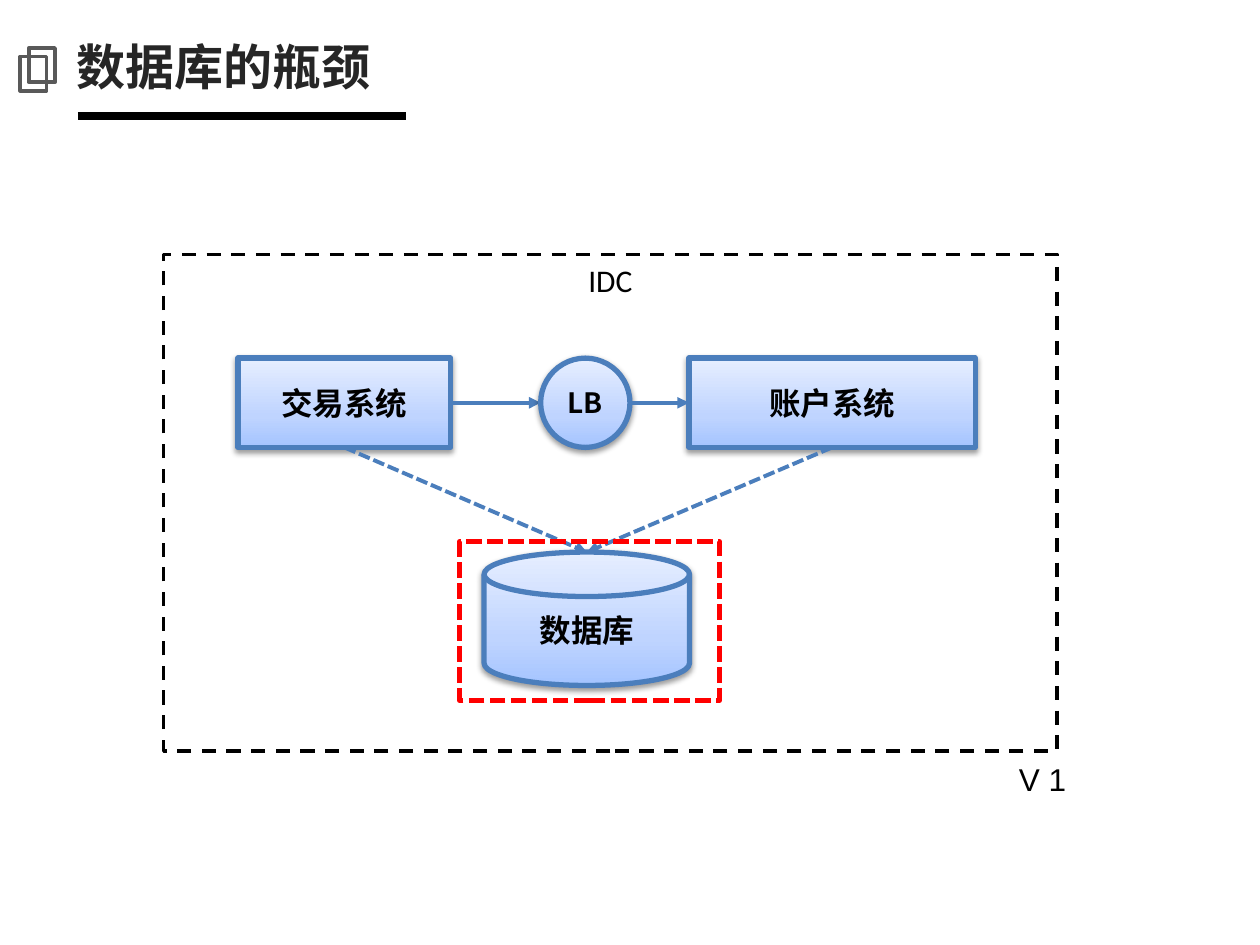
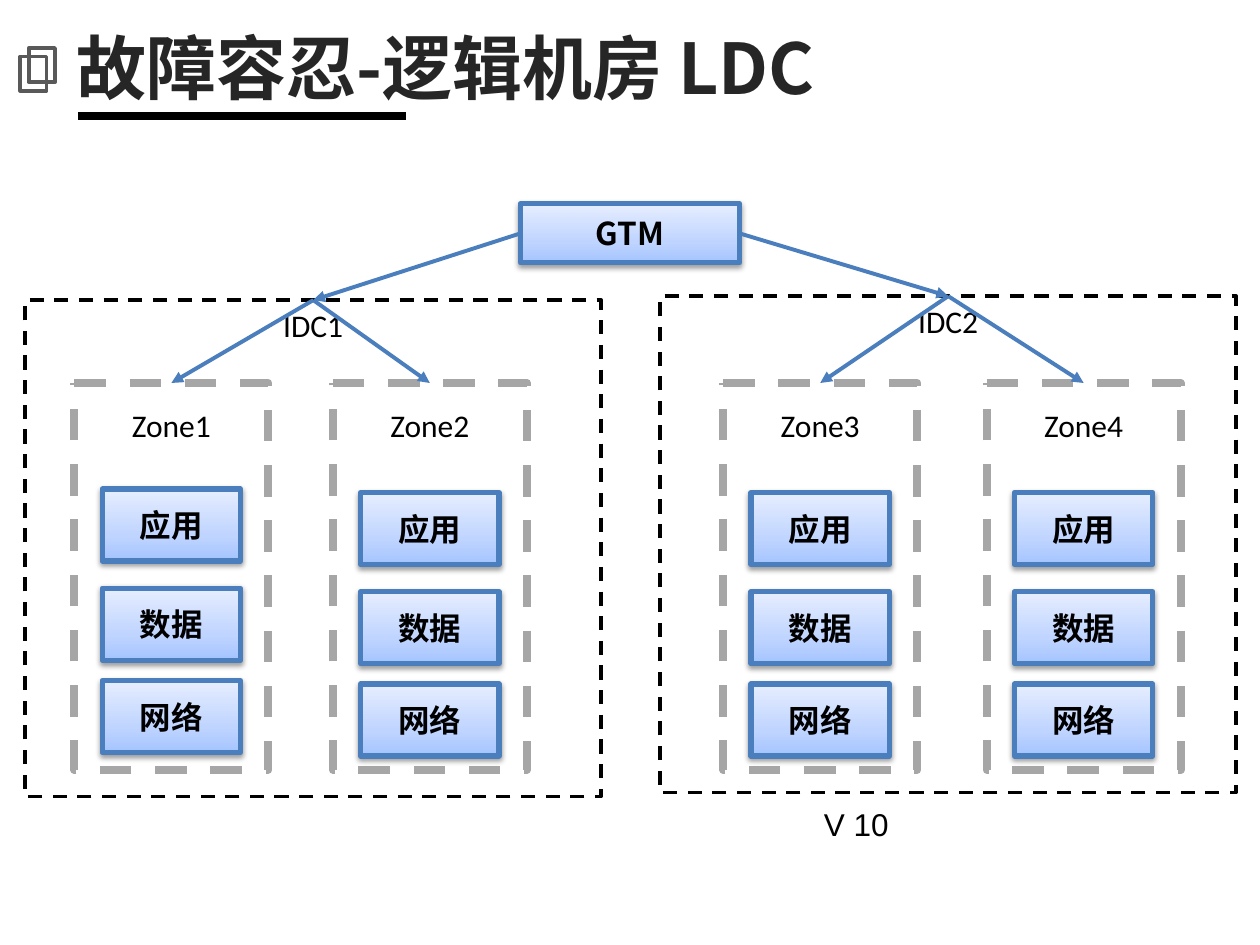
"""Build two architecture slides: the database bottleneck and the logical data centres."""
from dataclasses import dataclass
from typing import Any, NamedTuple, Optional

from lxml.etree import SubElement
from pptx import Presentation
from pptx.dml.color import RGBColor
from pptx.enum.dml import MSO_LINE
from pptx.enum.shapes import MSO_CONNECTOR, MSO_SHAPE as SHAPE
from pptx.enum.text import MSO_ANCHOR as ANCHOR, PP_ALIGN as ALIGN
from pptx.oxml import parse_xml
from pptx.oxml.ns import nsdecls, qn
from pptx.util import Cm, Pt


@dataclass(frozen=True)
class Theme:
    ink: str = "000000"
    title: str = "262626"
    icon: str = "595959"
    accent: str = "4B7EBC"
    zone: str = "A6A6A6"
    alert: str = "FF0000"
    gradient: tuple = ((0, "A4C4FF"), (35, "BFD4FF"), (100, "E6EEFF"))
    heading_font: str = "Noto Sans CJK SC"
    label_font: str = "Calibri"
    version_font: str = "Arial"
    body_size: int = 18
    balancer_size: int = 16


THEME = Theme()


class Point(NamedTuple):
    x: float
    y: float


class Style(NamedTuple):
    color: str
    width: float
    dash: Optional[Any] = None


@dataclass(frozen=True)
class Box:
    x: float
    y: float
    w: float
    h: float
    text: str = ""
    kind: Any = SHAPE.RECTANGLE

    @property
    def top(self) -> Point:
        return Point(self.x + self.w / 2, self.y)

    @property
    def bottom(self) -> Point:
        return Point(self.x + self.w / 2, self.y + self.h)

    @property
    def left(self) -> Point:
        return Point(self.x, self.y + self.h / 2)

    @property
    def right(self) -> Point:
        return Point(self.x + self.w, self.y + self.h / 2)

    @property
    def frame(self) -> list:
        return [Cm(v) for v in (self.x, self.y, self.w, self.h)]


NODE_LINE = Style(THEME.accent, 3)
ICON_LINE = Style(THEME.icon, 2.25)
TITLE_LINE = Style(THEME.ink, 4.5)
ARROW = Style(THEME.accent, 2.25)
DASHED_ARROW = Style(THEME.accent, 2.25, MSO_LINE.SQUARE_DOT)
IDC_LINE = Style(THEME.ink, 2, MSO_LINE.DASH)
ZONE_LINE = Style(THEME.zone, 4.5, MSO_LINE.DASH)
ALERT_LINE = Style(THEME.alert, 3, MSO_LINE.SQUARE_DOT)


def set_all(target: Any, fmt: dict) -> None:
    for name, value in fmt.items():
        setattr(target, name, value)


def set_line(sp: Any, style: Style) -> None:
    sp.line.color.rgb = RGBColor.from_string(style.color)
    sp.line.width = Pt(style.width)
    if style.dash is not None:
        sp.line.dash_style = style.dash


def write(sp: Any, text: str, font: str, size: int = THEME.body_size, bold: bool = False,
          color: str = THEME.ink, align: Any = ALIGN.CENTER, **frame: Any) -> None:
    tf = sp.text_frame
    set_all(tf, {"word_wrap": True, "vertical_anchor": ANCHOR.TOP, **frame})
    p = tf.paragraphs[0]
    p.alignment = align
    r = p.add_run()
    r.text = text
    set_all(r.font, {"name": font, "size": Pt(size), "bold": bold})
    r.font.color.rgb = RGBColor.from_string(color)
    SubElement(r.font._element, qn("a:ea"), typeface=font)


def add_frame(shapes: Any, box: Box, style: Style, **frame: Any) -> None:
    sp = shapes.add_shape(box.kind, *box.frame)
    sp.shadow.inherit = False
    sp.fill.background()
    set_line(sp, style)
    if box.text:
        write(sp, box.text, THEME.label_font, **frame)


def add_node(s: Any, box: Box, size: int = THEME.body_size) -> None:
    sp = s.shapes.add_shape(box.kind, *box.frame)
    set_line(sp, NODE_LINE)
    sp.fill.gradient()
    sp.shadow.inherit = False
    spPr = sp._element.spPr
    stops = "".join(f'<a:gs pos="{pos * 1000}"><a:srgbClr val="{color}"/></a:gs>'
                    for pos, color in THEME.gradient)
    spPr.replace(spPr.find(qn("a:gradFill")), parse_xml(
        f'<a:gradFill {nsdecls("a")} rotWithShape="1"><a:gsLst>{stops}</a:gsLst>'
        '<a:lin ang="16200000" scaled="0"/></a:gradFill>'))
    spPr.find(qn("a:effectLst")).append(parse_xml(
        f'<a:outerShdw {nsdecls("a")} blurRad="40000" dist="20000" dir="5400000" '
        'rotWithShape="0"><a:srgbClr val="000000"><a:alpha val="38000"/></a:srgbClr>'
        '</a:outerShdw>'))
    write(sp, box.text, THEME.heading_font, size, bold=True, vertical_anchor=ANCHOR.MIDDLE)


def add_line(s: Any, start: Point, end: Point, style: Style, arrow: bool = True) -> None:
    sp = s.shapes.add_connector(MSO_CONNECTOR.STRAIGHT, *(Cm(v) for v in (*start, *end)))
    set_line(sp, style)
    if arrow:
        SubElement(sp.line._get_or_add_ln(), qn("a:tailEnd"), type="triangle")
    SubElement(sp._element.spPr, qn("a:effectLst"))


def add_text(s: Any, box: Box, font: str, **fmt: Any) -> None:
    write(s.shapes.add_textbox(*box.frame), box.text, font, align=ALIGN.LEFT, **fmt)


def add_version(s: Any, box: Box) -> None:
    add_text(s, box, THEME.version_font, word_wrap=False)


def add_titled_slide(prs: Any, title: str, size: int) -> Any:
    s = prs.slides.add_slide(prs.slide_layouts[6])
    add_line(s, Point(1.57, 2.34), Point(8.18, 2.34), TITLE_LINE, arrow=False)
    icon = s.shapes.add_group_shape()
    for x, y in ((0.41, 1.14), (0.58, 0.97)):
        add_frame(icon.shapes, Box(x, y, 0.53, 0.69), ICON_LINE)
    add_text(s, Box(1.3, 0.33, 23.39, 2.01, title), THEME.heading_font, size=size,
             bold=True, color=THEME.title, vertical_anchor=ANCHOR.MIDDLE)
    return s


def build_bottleneck(prs: Any) -> None:
    s = add_titled_slide(prs, "数据库的瓶颈", 28)
    trading = Box(4.8, 7.22, 4.29, 1.8, "交易系统")
    balancer = Box(10.9, 7.22, 1.8, 1.8, "LB", SHAPE.OVAL)
    account = Box(13.89, 7.22, 5.77, 1.8, "账户系统")
    database = Box(9.76, 11.13, 4.14, 2.69, "数据库", SHAPE.FLOWCHART_MAGNETIC_DISK)

    add_frame(s.shapes, Box(3.3, 5.13, 18.01, 10.01, "IDC"), IDC_LINE)
    for node in (database, trading, account):
        add_node(s, node)
    add_line(s, trading.right, balancer.left, ARROW)
    for system in (trading, account):
        add_line(s, system.bottom, database.top, DASHED_ARROW)
    add_version(s, Box(20.29, 15.19, 1.47, 1.02, "V 1"))
    add_node(s, balancer, THEME.balancer_size)
    add_line(s, balancer.right, account.left, ARROW)
    add_frame(s.shapes, Box(9.27, 10.92, 5.23, 3.2), ALERT_LINE)


def build_logical_centres(prs: Any) -> None:
    s = add_titled_slide(prs, "故障容忍-逻辑机房 LDC", 40)
    gtm = Box(10.49, 4.11, 4.42, 1.19, "GTM")
    idcs = [Box(x, y, 11.61, 10.01, f"IDC{i}")
            for i, (x, y) in enumerate(((0.51, 6.05), (13.31, 5.97)), 1)]
    zones = [Box(x, 7.72, 3.91, 7.8, f"Zone{i}", SHAPE.FLOWCHART_PROCESS)
             for i, x in enumerate((1.5, 6.71, 14.58, 19.89), 1)]
    first_tiles = (9.86, 9.93, 9.93, 9.93)
    layers = (("应用", 0), ("数据", 2), ("网络", 3.86))
    tile_w, tile_h = 2.79, 1.45

    for idc in idcs:
        add_frame(s.shapes, idc, IDC_LINE)
    add_version(s, Box(16.36, 16.1, 1.88, 1.02, "V 10"))
    add_node(s, gtm)
    for start, idc in zip((gtm.left, gtm.right), idcs):
        add_line(s, start, idc.top, ARROW)
    for zone in zones:
        add_frame(s.shapes, zone, ZONE_LINE, margin_top=Cm(0.47))
    for i, zone in enumerate(zones):
        add_line(s, idcs[i // 2].top, zone.top, ARROW)
    for zone, y in zip(zones, first_tiles):
        for text, offset in layers:
            add_node(s, Box(zone.x + (zone.w - tile_w) / 2, y + offset, tile_w, tile_h, text))


def main() -> None:
    prs = Presentation()
    set_all(prs, {"slide_width": Cm(25.4), "slide_height": Cm(19.05)})
    build_bottleneck(prs)
    build_logical_centres(prs)
    prs.save("out.pptx")


if __name__ == "__main__":
    main()
